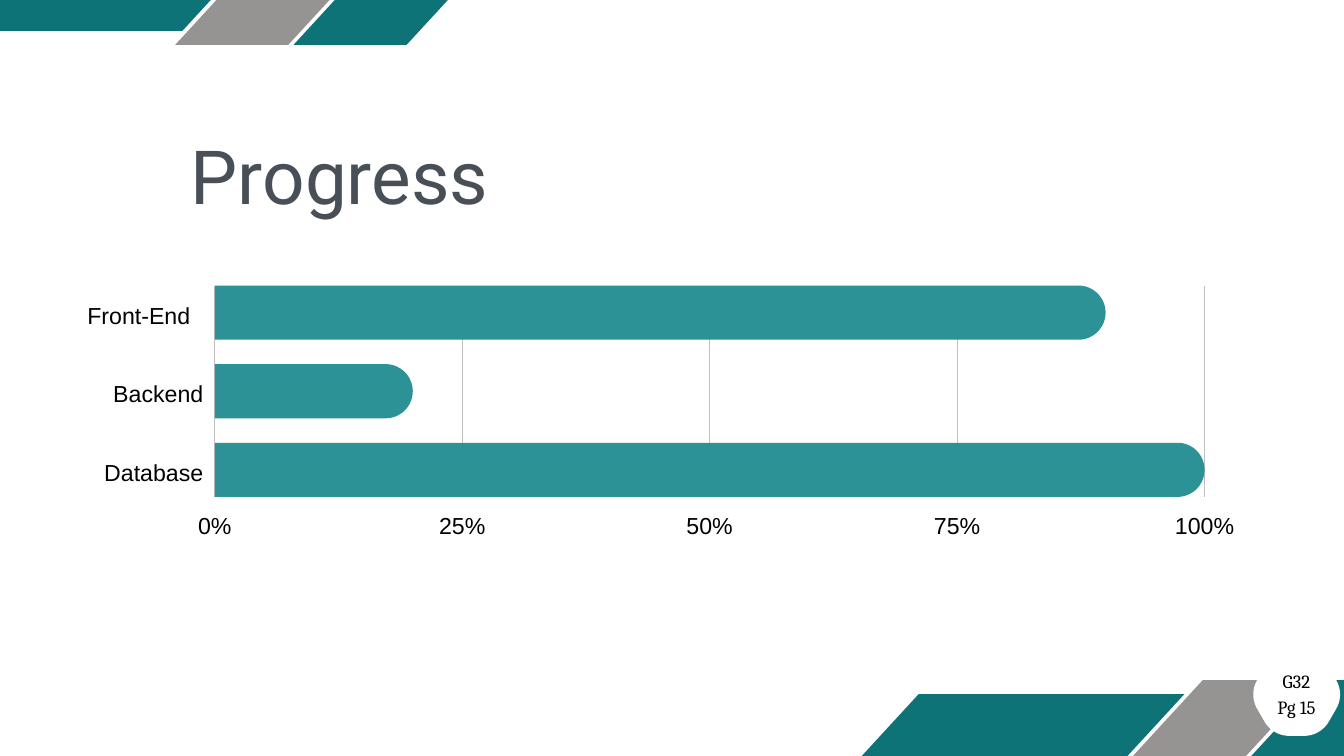
import math

import pptx
import pptx.dml.color
import pptx.enum.shapes
import pptx.enum.text
import pptx.oxml
import pptx.oxml.ns
import pptx.util

Pt = pptx.util.Pt
RGBColor = pptx.dml.color.RGBColor
ALIGN = pptx.enum.text.PP_ALIGN
SHAPE = pptx.enum.shapes.MSO_SHAPE

TEAL = RGBColor(0x0D, 0x73, 0x77)
AQUA = RGBColor(0x2C, 0x92, 0x96)
GREY = RGBColor(0x96, 0x93, 0x93)
RULE = RGBColor(0xBF, 0xBF, 0xBF)
SLATE = RGBColor(0x49, 0x4F, 0x56)
BLACK = RGBColor(0, 0, 0)
WHITE = RGBColor(255, 255, 255)


class Deck:
    """Holds the style and the current slide; lengths are in points."""

    def __init__(self, wide, high):
        self.prs = pptx.Presentation()
        self.prs.slide_width = Pt(wide)
        self.prs.slide_height = Pt(high)
        self.slide = self.prs.slides.add_slide(self.prs.slide_layouts[5])
        self.shapes = self.slide.shapes

    def paint(self, shape, fill):
        shape.shadow.inherit = False
        shape.fill.solid()
        shape.fill.fore_color.rgb = fill
        shape.line.fill.background()

    def slant(self, left, top, wide, high, fill):
        shape = self.shapes.add_shape(
            SHAPE.PARALLELOGRAM, Pt(left), Pt(top), Pt(wide), Pt(high))
        shape.adjustments[0] = 0.92
        self.paint(shape, fill)

    def outline(self, points, fill):
        spots = [(Pt(x), Pt(y)) for x, y in points]
        form = self.shapes.build_freeform(*spots[0])
        form.add_line_segments(spots[1:], close=True)
        self.paint(form.convert_to_shape(), fill)

    def arc(self, x, y, size, start, end):
        turns = [math.radians(a) for a in range(start, end + 1, 5)]
        return [(x + size * math.cos(t), y + size * math.sin(t)) for t in turns]

    def bar(self, left, top, wide, high, fill):
        half = high / 2
        cap = self.arc(left + wide - half, top + half, half, -90, 90)
        self.outline([(left, top)] + cap + [(left, top + high)], fill)

    def badge(self, x, y, reach, size, fill):
        points = []
        for turn in range(0, 360, 60):
            [(cx, cy)] = self.arc(x, y, reach, turn, turn)
            points += self.arc(cx, cy, size, turn - 30, turn + 30)
        self.outline(points, fill)

    def rule(self, x, top, end):
        line = self.shapes.add_connector(
            pptx.enum.shapes.MSO_CONNECTOR.STRAIGHT, Pt(x), Pt(top), Pt(x), Pt(end))
        line.line.color.rgb = RULE
        line.line.width = Pt(1)
        props = line._element.spPr
        props.append(pptx.oxml.parse_xml(
            "<a:effectLst %s/>" % pptx.oxml.ns.nsdecls("a")))

    def letter(self, frame, lines, font, size, pitch, align, color):
        frame.word_wrap = True
        frame.auto_size = pptx.enum.text.MSO_AUTO_SIZE.NONE
        frame.vertical_anchor = pptx.enum.text.MSO_ANCHOR.TOP
        frame.margin_left = frame.margin_right = 0
        frame.margin_top = frame.margin_bottom = 0
        for i, line in enumerate(lines):
            para = frame.add_paragraph() if i else frame.paragraphs[0]
            para.alignment = align
            para.line_spacing = Pt(pitch)
            run = para.add_run()
            run.text = line
            run.font.name = font
            run.font.size = Pt(size)
            run.font.color.rgb = color

    def text(self, left, top, wide, lines, align, font="Arial", size=24.8, pitch=34.8):
        box = self.shapes.add_textbox(
            Pt(left), Pt(top), Pt(wide), Pt(pitch * len(lines)))
        self.letter(box.text_frame, lines, font, size, pitch, align, BLACK)

    def title(self, left, top, wide, high, words):
        hold = self.shapes.title
        hold.left, hold.top = Pt(left), Pt(top)
        hold.width, hold.height = Pt(wide), Pt(high)
        self.letter(hold.text_frame, [words], "Roboto", 80, 80, ALIGN.LEFT, SLATE)


def main():
    deck = Deck(1440, 810)

    # Slanted bands in the two corners
    for long_x, long_y, short_x, short_y in ((-89.3, -33.1, 187.7, -48),
                                             (923.3, 743.8, 1200.4, 728.6)):
        deck.slant(long_x, long_y, 345.6, 66.2, TEAL)
        for i, fill in enumerate((GREY, TEAL)):
            deck.slant(short_x + i * 126.8, short_y, 209.5, 96, fill)

    deck.title(204.5, 155.5, 640, 84, "Progress")

    # Progress bars on a percent scale
    left, top, full, thick, step = 230.2, 306, 1060.4, 58, 84.2
    foot = top + 2 * step + thick
    for part in (0, 25, 50, 75, 100):
        x = left + full * part / 100
        deck.rule(x, top, foot)
        deck.text(x - 40, foot + 10, 80, [f"{part}%"], ALIGN.CENTER)

    tasks = (("Front-End", 90, 204), ("Backend", 20, 218), ("Database", 100, 218))
    for i, (name, part, edge) in enumerate(tasks):
        y = top + i * step
        deck.text(edge - 130, y + 11.5, 130, [name], ALIGN.RIGHT)
        deck.bar(left, y, full * part / 100, thick, AQUA)

    # Page badge
    deck.badge(1389.3, 744.1, 16, 30.5, WHITE)
    deck.text(1359, 713.5, 60, ["G32", "Pg 15"], ALIGN.CENTER, "Cambria", 20, 28)

    deck.prs.save("out.pptx")


if __name__ == "__main__":
    main()
